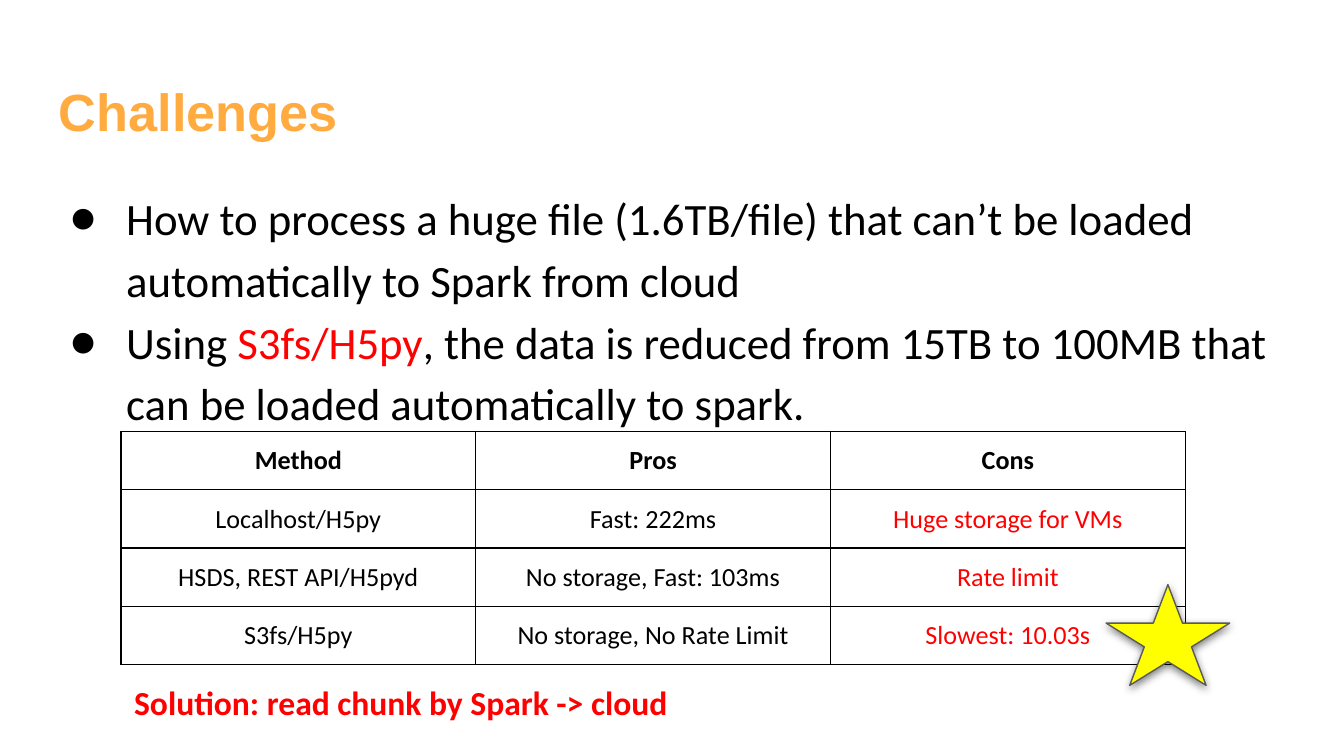
from lxml import etree
from pptx import Presentation
from pptx.dml.color import RGBColor
from pptx.enum.shapes import MSO_SHAPE as SHAPE
from pptx.enum.text import MSO_ANCHOR as ANCHOR, PP_ALIGN as ALIGN
from pptx.oxml import parse_xml
from pptx.oxml.ns import nsdecls, qn
from pptx.util import Inches, Pt

COLORS = {
    "title": "FFAB40",
    "text": "000000",
    "accent": "FF0000",
    "star": "FFFF00",
    "star_line": "595959",
}
FORMATS = {
    "title": {"name": "Arial", "size": Pt(28), "bold": True},
    "body": {"name": "Calibri", "size": Pt(24), "bold": False},
    "header": {"name": "Calibri", "size": Pt(14), "bold": True},
    "cell": {"name": "Calibri", "size": Pt(14), "bold": False},
    "solution": {"name": "Calibri", "size": Pt(18), "bold": True},
}
BULLETS = [
    [("How to process a huge file (1.6TB/file) that can’t be loaded "
      "automatically to Spark from cloud", "text")],
    [("Using ", "text"), ("S3fs/H5py", "accent"),
     (", the data is reduced from 15TB to 100MB that can be loaded "
      "automatically to spark.", "text")],
]
METHODS = [
    ["Method", "Pros", "Cons"],
    ["Localhost/H5py", "Fast: 222ms", "Huge storage for VMs"],
    ["HSDS, REST API/H5pyd", "No storage, Fast: 103ms", "Rate limit"],
    ["S3fs/H5py", "No storage, No Rate Limit", "Slowest: 10.03s"],
]
SLIDE_W = 10
COL_W, ROW_H = 2.64, 0.42
MARGINS = ("margin_left", "margin_top", "margin_right", "margin_bottom")


def rgb(key):
    return RGBColor.from_string(COLORS[key])


def set_margins(obj):
    for side in MARGINS:
        setattr(obj, side, Inches(0.1))


def add_run(p, text, style, color):
    r = p.add_run()
    r.text = text
    for attr, value in FORMATS[style].items():
        setattr(r.font, attr, value)
    r.font.color.rgb = rgb(color)


def add_bullet(p, font):
    pPr = p._p.get_or_add_pPr()
    pPr.set("marL", str(Inches(0.5)))
    pPr.set("indent", str(Inches(-0.42)))
    clr = etree.SubElement(pPr, qn("a:buClr"))
    etree.SubElement(clr, qn("a:srgbClr"), val=COLORS["text"])
    etree.SubElement(pPr, qn("a:buFont"), typeface=font)
    etree.SubElement(pPr, qn("a:buChar"), char="●")


def add_text(s, box, paragraphs, style, spacing=1.0, bullets=False):
    tf = s.shapes.add_textbox(*map(Inches, box)).text_frame
    tf.word_wrap = True
    set_margins(tf)
    for i, runs in enumerate(paragraphs):
        p = tf.add_paragraph() if i else tf.paragraphs[0]
        p.line_spacing = spacing
        if bullets:
            add_bullet(p, FORMATS[style]["name"])
        for text, color in runs:
            add_run(p, text, style, color)


def add_borders(cell):
    tcPr = cell._tc.get_or_add_tcPr()
    for i, side in enumerate(("lnL", "lnR", "lnT", "lnB")):
        tcPr.insert(i, parse_xml(
            f'<a:{side} {nsdecls("a")} w="{Pt(0.75)}"><a:solidFill>'
            f'<a:srgbClr val="{COLORS["text"]}"/></a:solidFill></a:{side}>'))


def add_methods_table(s, left, top):
    n_rows, n_cols = len(METHODS), len(METHODS[0])
    table = s.shapes.add_table(
        n_rows, n_cols, Inches(left), Inches(top),
        Inches(COL_W * n_cols), Inches(ROW_H * n_rows)).table
    table.first_row = table.horz_banding = False
    for col in table.columns:
        col.width = Inches(COL_W)
    for i, row in enumerate(METHODS):
        for j, text in enumerate(row):
            cell = table.cell(i, j)
            cell.fill.background()
            set_margins(cell)
            add_borders(cell)
            cell.vertical_anchor = ANCHOR.TOP
            p = cell.text_frame.paragraphs[0]
            p.alignment = ALIGN.CENTER
            # Drawbacks in the last column stand out
            is_con = i > 0 and j == n_cols - 1
            add_run(p, text, "cell" if i else "header",
                    "accent" if is_con else "text")


def add_star(s, box):
    sp = s.shapes.add_shape(SHAPE.STAR_5_POINT, *map(Inches, box))
    sp.fill.solid()
    sp.fill.fore_color.rgb = rgb("star")
    sp.line.color.rgb = rgb("star_line")
    sp.line.width = Pt(0.75)
    # Soft shadow straight below
    sp.shadow.inherit = False
    effects = sp._element.spPr.find(qn("a:effectLst"))
    effects.append(parse_xml(
        f'<a:outerShdw {nsdecls("a")} blurRad="{Pt(4.5)}" dist="{Pt(1.5)}" '
        f'dir="5400000" algn="bl" rotWithShape="0">'
        f'<a:srgbClr val="{COLORS["text"]}"><a:alpha val="50000"/>'
        f'</a:srgbClr></a:outerShdw>'))


def main():
    # One widescreen slide, 16:9
    prs = Presentation()
    prs.slide_width = Inches(SLIDE_W)
    prs.slide_height = Inches(SLIDE_W * 9 / 16)
    s = prs.slides.add_slide(prs.slide_layouts[6])

    # Title and bullets
    add_text(s, (0.34, 0.49, 9.32, 0.63), [[("Challenges", "title")]], "title")
    add_text(s, (0.34, 1.26, 9.32, 3.44), BULLETS, "body", 1.15, bullets=True)

    # Comparison of methods, with the chosen one starred
    add_methods_table(s, 0.9, 3.21)
    add_star(s, (8.23, 4.35, 0.92, 0.75))

    # Solution
    add_text(s, (0.9, 4.93, 7.06, 0.82),
             [[("Solution: read chunk by Spark -> cloud", "accent")]],
             "solution", 1.15)
    prs.save("out.pptx")


if __name__ == "__main__":
    main()
